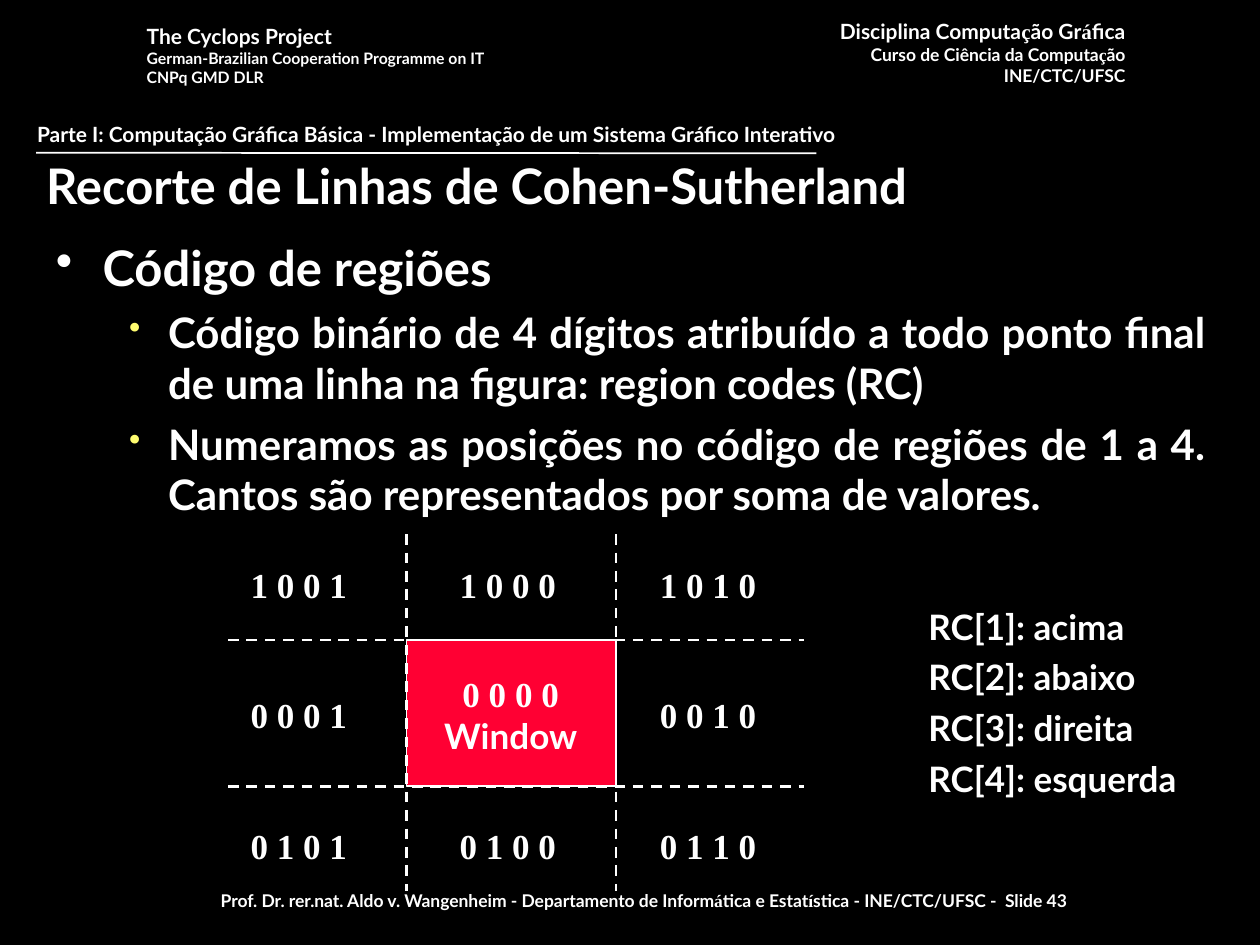
"""Build the Cohen-Sutherland region code slide."""
import itertools

import lxml.etree
import pptx
import pptx.dml.color
import pptx.enum.dml
import pptx.enum.shapes
import pptx.enum.text
import pptx.oxml
import pptx.oxml.ns
import pptx.util

Pt = pptx.util.Pt
ALIGN = pptx.enum.text.PP_ALIGN

THEME = {
    "background": "000000", "ink": "FFFFFF", "window": "FF0033", "sub_bullet": "FFFC6F",
    "font": "Lato", "code_font": "Times New Roman",
    "heading": 28, "body": 24, "label": 20, "header": 12, "small": 10, "tiny": 9,
}

TITLE = "Recorte de Linhas de Cohen-Sutherland"
COURSE = [("Disciplina Computação Gráfica", "header"),
          ("Curso de Ciência da Computação", "small"),
          ("INE/CTC/UFSC", "small")]
PROJECT = [("The Cyclops Project", "header"),
           ("German-Brazilian Cooperation Programme on IT", "tiny"),
           ("CNPq GMD DLR", "tiny")]
FOOTER = [("Prof. Dr. rer.nat. Aldo v. Wangenheim - Departamento de Informática e "
           "Estatística - INE/CTC/UFSC -  Slide 43", "small")]
PART = [("Parte I: Computação Gráfica Básica - Implementação de um Sistema Gráfico "
         "Interativo", "header")]
BODY = [("Código de regiões", "heading"),
        ("Código binário de 4 dígitos atribuído a todo ponto final de uma linha na "
         "figura: region codes (RC)", "body"),
        ("Numeramos as posições no código de regiões de 1 a 4. Cantos são "
         "representados por soma de valores. ", "body")]
BULLETS = [{"left": 26.64, "hang": 26.64, "before": 7, "color": "ink", "size": 100},
           {"left": 64.08, "hang": 22.32, "before": 6, "color": "sub_bullet", "size": 80}]
REGION_CODES = [["1 0 0 1", "1 0 0 0", "1 0 1 0"],
                ["0 0 0 1", None, "0 0 1 0"],
                ["0 1 0 1", "0 1 0 0", "0 1 1 0"]]
WINDOW_CODE, WINDOW_NAME = ("0 0 0 0", "label"), ("Window", "label")
LEGEND = [(f"RC[{bit}]: {side}", "label")
          for bit, side in enumerate(["acima", "abaixo", "direita", "esquerda"], 1)]

GRID_X, GRID_Y = (232.2, 352.08), (365.76, 449.28)
GRID_LEFT, GRID_RIGHT, GRID_TOP, GRID_BOTTOM = 130.32, 459.36, 305.28, 509.04
CODE_CENTER_X, CODE_Y = (170.7, 290.2, 404.6), (318.24, 392.7, 467.6)
CODE_WIDTH, CODE_HEIGHT = 76, 31.68


def color(name):
    return pptx.dml.color.RGBColor.from_string(THEME[name])


def style_run(run, size, font="font"):
    run.font.size = Pt(THEME[size])
    run.font.name = THEME[font]
    run.font.bold = True
    run.font.color.rgb = color("ink")


def write(frame, lines, align=ALIGN.LEFT, font="font", before=0, code_letters=""):
    frame.text = "\n".join(text for text, _ in lines)
    for paragraph, (text, size) in zip(frame.paragraphs, lines):
        paragraph.alignment = align
        paragraph.space_before = Pt(before)
        paragraph.text = ""
        for is_code, letters in itertools.groupby(text, lambda c: c in code_letters):
            run = paragraph.add_run()
            run.text = "".join(letters)
            style_run(run, size, "code_font" if is_code else font)


def add_text(shapes, box, lines, wrap=False, **style):
    frame = shapes.add_textbox(*map(Pt, box)).text_frame
    frame.word_wrap = wrap
    frame.auto_size = pptx.enum.text.MSO_AUTO_SIZE.SHAPE_TO_FIT_TEXT
    write(frame, lines, **style)
    return frame


def add_line(shapes, start, end, width, dash=None):
    line = shapes.add_connector(pptx.enum.shapes.MSO_CONNECTOR.STRAIGHT,
                                *map(Pt, (*start, *end)))
    line.line.color.rgb = color("ink")
    line.line.width = Pt(width)
    line.line.dash_style = dash
    lxml.etree.SubElement(line._element.spPr, pptx.oxml.ns.qn("a:effectLst"))


def add_bullet(paragraph, level):
    bullet = BULLETS[level]
    paragraph.level = level
    paragraph.space_before = Pt(bullet["before"])
    properties = paragraph._p.get_or_add_pPr()
    properties.set("marL", str(Pt(bullet["left"])))
    properties.set("indent", str(-Pt(bullet["hang"])))
    namespace = pptx.oxml.ns.nsdecls("a")
    for xml in (f'<a:buClr {namespace}><a:srgbClr val="{THEME[bullet["color"]]}"/></a:buClr>',
                f'<a:buSzPct {namespace} val="{bullet["size"] * 1000}"/>',
                f'<a:buChar {namespace} char="•"/>'):
        properties.append(pptx.oxml.parse_xml(xml))


def add_frame(slide):
    shapes = slide.shapes
    add_text(shapes, (454.32, 7.2, 195.84, 46.08), COURSE, align=ALIGN.RIGHT,
             code_letters="çá")
    add_text(shapes, (76.7, 10.08, 231.12, 43.2), PROJECT)
    add_text(shapes, (50, 505, 635.76, 20.88), FOOTER, wrap=True,
             align=ALIGN.CENTER, before=6.2, code_letters="áí")
    add_line(shapes, (20.6, 87.3), (466.56, 87.6), 1)
    add_text(shapes, (14.1, 65.9, 684, 21.6), PART, wrap=True)


def add_title(slide):
    title = slide.shapes.title
    title.left, title.top, title.width, title.height = map(Pt, (19.2, 84.96, 612, 41.04))
    title.text_frame.vertical_anchor = pptx.enum.text.MSO_ANCHOR.MIDDLE
    title.text_frame.auto_size = pptx.enum.text.MSO_AUTO_SIZE.NONE
    write(title.text_frame, [(TITLE, "heading")])


def add_body(slide):
    frame = add_text(slide.shapes, (24.9, 132.1, 671.04, 378), BODY, wrap=True,
                     align=ALIGN.JUSTIFY)
    frame.auto_size = pptx.enum.text.MSO_AUTO_SIZE.NONE
    for paragraph, (_, size) in zip(frame.paragraphs, BODY):
        add_bullet(paragraph, 0 if size == "heading" else 1)


def add_regions(slide):
    shapes = slide.shapes.add_group_shape().shapes
    (left, right), (top, bottom) = GRID_X, GRID_Y
    window = shapes.add_shape(pptx.enum.shapes.MSO_SHAPE.RECTANGLE,
                              *map(Pt, (left, top, right - left, bottom - top)))
    window.shadow.inherit = False
    window.fill.solid()
    window.fill.fore_color.rgb = color("window")
    window.line.color.rgb = color("ink")
    window.line.width = Pt(1)
    dash = pptx.enum.dml.MSO_LINE.DASH
    for y in GRID_Y:
        add_line(shapes, (GRID_LEFT, y), (GRID_RIGHT, y), 1.5, dash)
    for x in GRID_X:
        add_line(shapes, (x, GRID_TOP), (x, GRID_BOTTOM), 1.5, dash)
    frame = add_text(shapes, (244.3, 380.5, 95.04, 55.44), [WINDOW_CODE, WINDOW_NAME],
                     align=ALIGN.CENTER)
    frame.paragraphs[0].runs[0].font.name = THEME["code_font"]
    for y, codes in zip(CODE_Y, REGION_CODES):
        for center, code in zip(CODE_CENTER_X, codes):
            if code:
                box = (center - CODE_WIDTH / 2, y, CODE_WIDTH, CODE_HEIGHT)
                add_text(shapes, box, [(code, "label")], align=ALIGN.CENTER,
                         font="code_font")
    add_text(shapes, (523.44, 342.2, 169.2, 118.08), LEGEND, before=5)


def main():
    deck = pptx.Presentation()
    deck.slide_width, deck.slide_height = Pt(720), Pt(540)
    slide = deck.slides.add_slide(deck.slide_layouts.get_by_name("Title Only"))
    slide.background.fill.solid()
    slide.background.fill.fore_color.rgb = color("background")
    add_frame(slide)
    add_title(slide)
    add_body(slide)
    add_regions(slide)
    deck.save("out.pptx")


if __name__ == "__main__":
    main()
